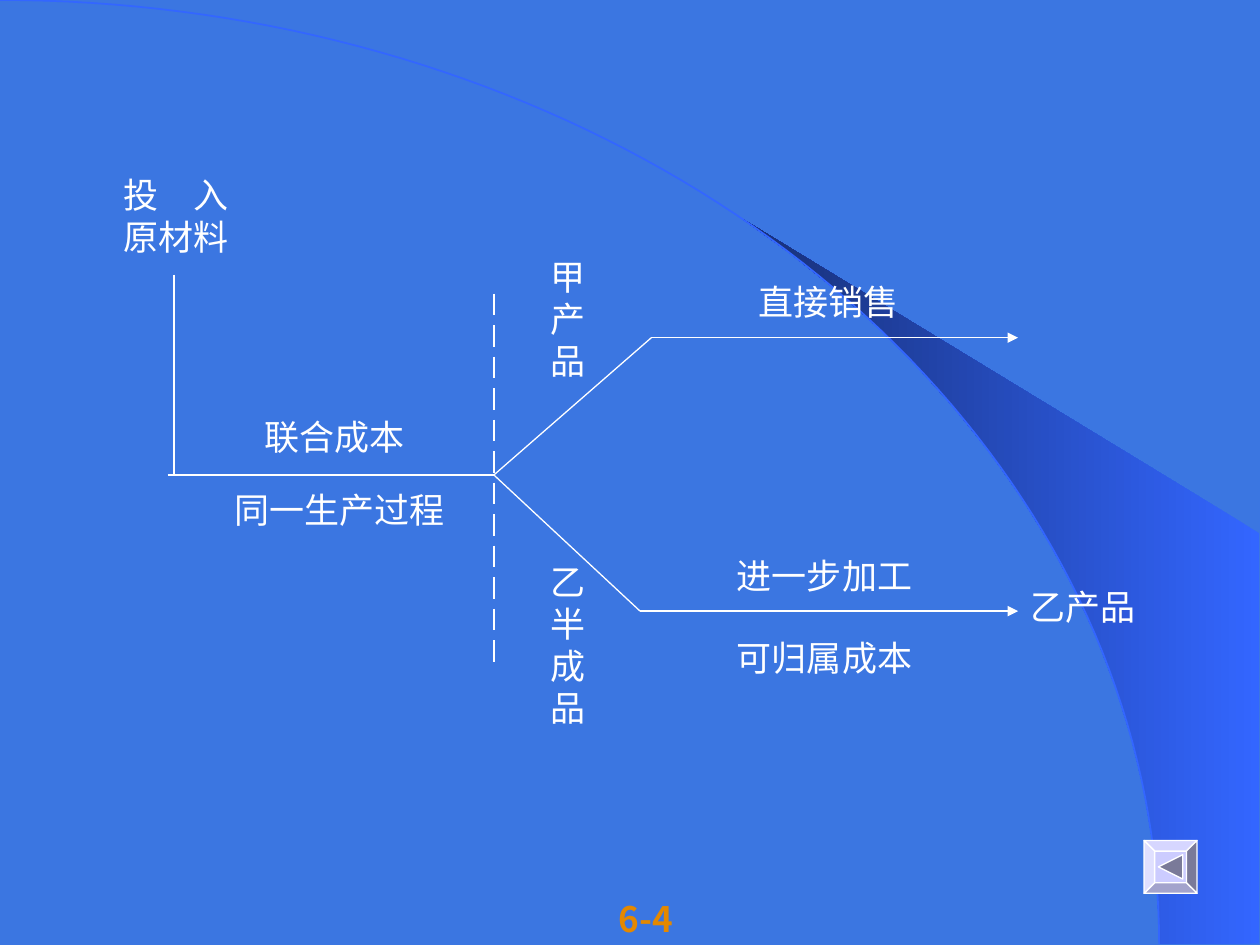
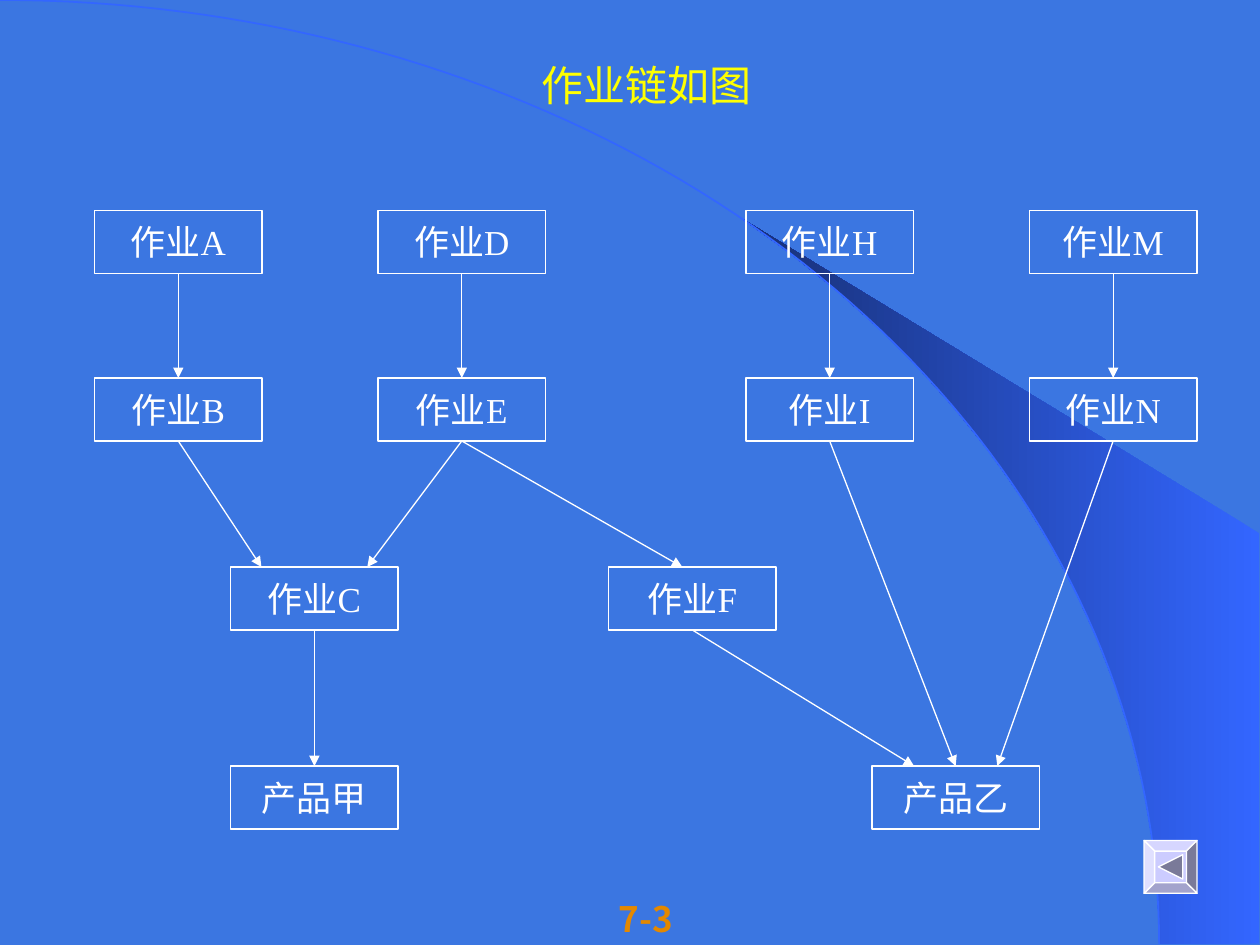
import math

import pptx
import pptx.dml.color
import pptx.enum.shapes
import pptx.enum.text
import pptx.oxml
import pptx.oxml.ns
import pptx.util

Inches = pptx.util.Inches
Pt = pptx.util.Pt
ALIGN = pptx.enum.text.PP_ALIGN

COLORS = {
    "background": "3B76E1",
    "arc": "3366FF",
    "wedge_dark": "172F75",
    "text": "FFFFFF",
    "title": "FFFF00",
    "page": "E48800",
    "face": "CCCCFF",
    "top": "D6D6FF",
    "left": "E0E0FF",
    "bottom": "A3A3CC",
    "right": "7A7A99",
}
BODY_FONT = "Times New Roman"
PAGE_FONT = "Noto Sans CJK SC"
CHARACTER = 20 / 72
LINE_HEIGHT = 0.333
BOX_WIDTH, BOX_HEIGHT = 1.33, 0.5


def rgb(name):
    """Return the named colour."""
    return pptx.dml.color.RGBColor.from_string(COLORS[name])


def style_text(frame, text, color="text", size=20, font=BODY_FONT, bold=False, align=ALIGN.CENTER):
    """Write text, one paragraph a line, in a single style."""
    frame.text = text
    for paragraph in frame.paragraphs:
        paragraph.alignment = align
        paragraph.font.size = Pt(size)
        paragraph.font.name = font
        paragraph.font.bold = bold
        paragraph.font.color.rgb = rgb(color)


def add_text(slide, left, top, width, height, text, wrap=True, **style):
    """Add a text box."""
    box = slide.shapes.add_textbox(Inches(left), Inches(top), Inches(width), Inches(height))
    frame = box.text_frame
    frame.word_wrap = wrap
    frame.auto_size = pptx.enum.text.MSO_AUTO_SIZE.SHAPE_TO_FIT_TEXT
    style_text(frame, text, **style)


def add_label(slide, left, top, text, align=ALIGN.CENTER):
    """Add an unwrapped label sized by its characters."""
    lines = text.split("\n")
    width = 0.2 + CHARACTER * max(map(len, lines))
    height = 0.1 + LINE_HEIGHT * len(lines)
    add_text(slide, left, top, width, height, text, wrap=False, align=align)


def add_line(slide, start, end, arrow=False):
    """Add a thin white line, with an arrowhead at its end on request."""
    line = slide.shapes.add_connector(
        pptx.enum.shapes.MSO_CONNECTOR.STRAIGHT, *(Inches(value) for value in (*start, *end)))
    line.line.color.rgb = rgb("text")
    line.line.width = Pt(0.75)
    properties = line._element.spPr
    if arrow:
        head = pptx.oxml.parse_xml(f'<a:tailEnd {pptx.oxml.ns.nsdecls("a")} type="triangle"/>')
        properties.find(pptx.oxml.ns.qn("a:ln")).append(head)
    properties.append(pptx.oxml.parse_xml(f'<a:effectLst {pptx.oxml.ns.nsdecls("a")}/>'))


def add_outline(slide, points, close=True):
    """Add a freeform through points given in inches."""
    corners = [(Inches(x), Inches(y)) for x, y in points]
    builder = slide.shapes.build_freeform(*corners[0])
    builder.add_line_segments(corners[1:], close=close)
    shape = builder.convert_to_shape()
    shape.shadow.inherit = False
    return shape


def add_backdrop(slide, left, top, width, height):
    """Draw the quarter ellipse and the shaded wedge beside it."""
    radius_x, radius_y = 0.92 * width, height - 0.01
    right, bottom = left + width - 0.01, top + radius_y

    def curve(start, steps):
        angles = (start + (math.pi / 2 - start) * step / steps for step in range(steps + 1))
        return [(left + radius_x * math.sin(a), top + radius_y * (1 - math.cos(a))) for a in angles]

    wedge = add_outline(slide, curve(math.asin(0.64), 16) + [(right, bottom), (right, top + 4.23)])
    wedge.line.fill.background()
    wedge.fill.gradient()
    wedge.fill.gradient_angle = 180
    for stop, position, color in zip(wedge.fill.gradient_stops, (0, 1), ("arc", "wedge_dark")):
        stop.position = position
        stop.color.rgb = rgb(color)

    arc = add_outline(slide, curve(0, 80), close=False)
    arc.fill.background()
    arc.line.color.rgb = rgb("arc")
    arc.line.width = Pt(1)


def add_back_button(slide, left, top, size):
    """Draw the bevelled button with its left-pointing triangle."""
    outer = [(0, 0), (1, 0), (1, 1), (0, 1)]
    inner = [(0.2, 0.2), (0.8, 0.2), (0.8, 0.8), (0.2, 0.8)]
    facets = [("face", inner)]
    for side, color in enumerate(("top", "right", "bottom", "left")):
        following = (side + 1) % 4
        facets.append((color, [outer[side], outer[following], inner[following], inner[side]]))
    facets.append(("right", [(0.27, 0.5), (0.73, 0.27), (0.73, 0.73)]))
    for color, points in facets:
        facet = add_outline(slide, [(left + size * x, top + size * y) for x, y in points])
        facet.fill.solid()
        facet.fill.fore_color.rgb = rgb(color)
        facet.line.color.rgb = rgb("text")
        facet.line.width = Pt(0.75)


def add_base_slide(presentation, page):
    """Add a slide with the parts that all slides share."""
    slide = presentation.slides.add_slide(presentation.slide_layouts[6])
    slide.background.fill.solid()
    slide.background.fill.fore_color.rgb = rgb("background")
    add_backdrop(slide, 0, 0, 10, 7.5)
    add_back_button(slide, 9.08, 6.67, 0.42)
    add_text(slide, 4.5, 7.07, 1.25, 0.44, page, color="page", font=PAGE_FONT, bold=True)
    return slide


def add_joint_cost_flow(slide, left, top):
    """Draw the joint process that splits into two products."""
    labels = [
        (0, 0, "投　入\n原材料"),
        (1.12, 1.92, "联合成本"),
        (0.88, 2.5, "同一生产过程"),
        (5.04, 0.85, "直接销售"),
        (4.87, 3.02, "进一步加工"),
        (4.87, 3.67, "可归属成本"),
        (7.2, 3.27, "乙产品"),
    ]
    for x, y, text in labels:
        add_label(slide, left + x, top + y, text)
    for y, product in ((0.65, "甲产品"), (3.07, "乙半成品")):
        add_label(slide, left + 3.39, top + y, "\n".join(product), align=ALIGN.LEFT)

    split_x, process_y = left + 3.04, top + 2.44
    add_line(slide, (left + 0.5, top + 0.85), (left + 0.5, process_y))
    add_line(slide, (left + 0.45, process_y), (split_x, process_y))
    for x, y in ((4.29, 1.35), (4.2, 3.52)):
        bend = (left + x, top + y)
        add_line(slide, (split_x, process_y), bend)
        add_line(slide, bend, (left + 7.2, top + y), arrow=True)
    for dash in range(12):
        dash_top = top + 1 + 0.25 * dash
        add_line(slide, (split_x, dash_top), (split_x, dash_top + 0.17))


def add_activity_chain(slide, left, top):
    """Draw the activities and the arrows that lead to the two products."""
    rows = (0, 1.33, 2.83, 4.41)
    activities = {
        "作业A": (0, rows[0]), "作业B": (0, rows[1]),
        "作业D": (2.25, rows[0]), "作业E": (2.25, rows[1]),
        "作业H": (5.17, rows[0]), "作业I": (5.17, rows[1]),
        "作业M": (7.42, rows[0]), "作业N": (7.42, rows[1]),
        "作业C": (1.08, rows[2]), "作业F": (4.08, rows[2]),
        "产品甲": (1.08, rows[3]), "产品乙": (6.17, rows[3]),
    }
    links = [
        ("作业A", "作业B", 0), ("作业D", "作业E", 0),
        ("作业H", "作业I", 0), ("作业M", "作业N", 0),
        ("作业B", "作业C", -0.42), ("作业E", "作业C", 0.42),
        ("作业E", "作业F", -0.08), ("作业C", "产品甲", 0),
        ("作业F", "产品乙", -0.33), ("作业I", "产品乙", 0),
        ("作业N", "产品乙", 0.33),
    ]
    for name, (x, y) in activities.items():
        activity = slide.shapes.add_shape(
            pptx.enum.shapes.MSO_SHAPE.RECTANGLE, Inches(left + x), Inches(top + y),
            Inches(BOX_WIDTH), Inches(BOX_HEIGHT))
        activity.shadow.inherit = False
        activity.fill.background()
        activity.line.color.rgb = rgb("text")
        activity.line.width = Pt(0.75)
        activity.text_frame.word_wrap = False
        activity.text_frame.vertical_anchor = pptx.enum.text.MSO_ANCHOR.MIDDLE
        style_text(activity.text_frame, name)
    center = left + BOX_WIDTH / 2
    for source, target, shift in links:
        source_x, source_y = activities[source]
        target_x, target_y = activities[target]
        add_line(slide, (center + source_x, top + source_y + BOX_HEIGHT),
                 (center + target_x + shift, top + target_y), arrow=True)


def main():
    """Build both slides and save them."""
    presentation = pptx.Presentation()
    presentation.slide_width = Inches(10)
    presentation.slide_height = Inches(7.5)

    joint_cost = add_base_slide(presentation, "6-4")
    add_joint_cost_flow(joint_cost, 0.88, 1.33)

    chain = add_base_slide(presentation, "7-3")
    add_text(chain, 3.42, 0.42, 3.42, 0.5, "作业链如图", color="title", size=24)
    add_activity_chain(chain, 0.75, 1.67)

    presentation.save("out.pptx")


if __name__ == "__main__":
    main()
